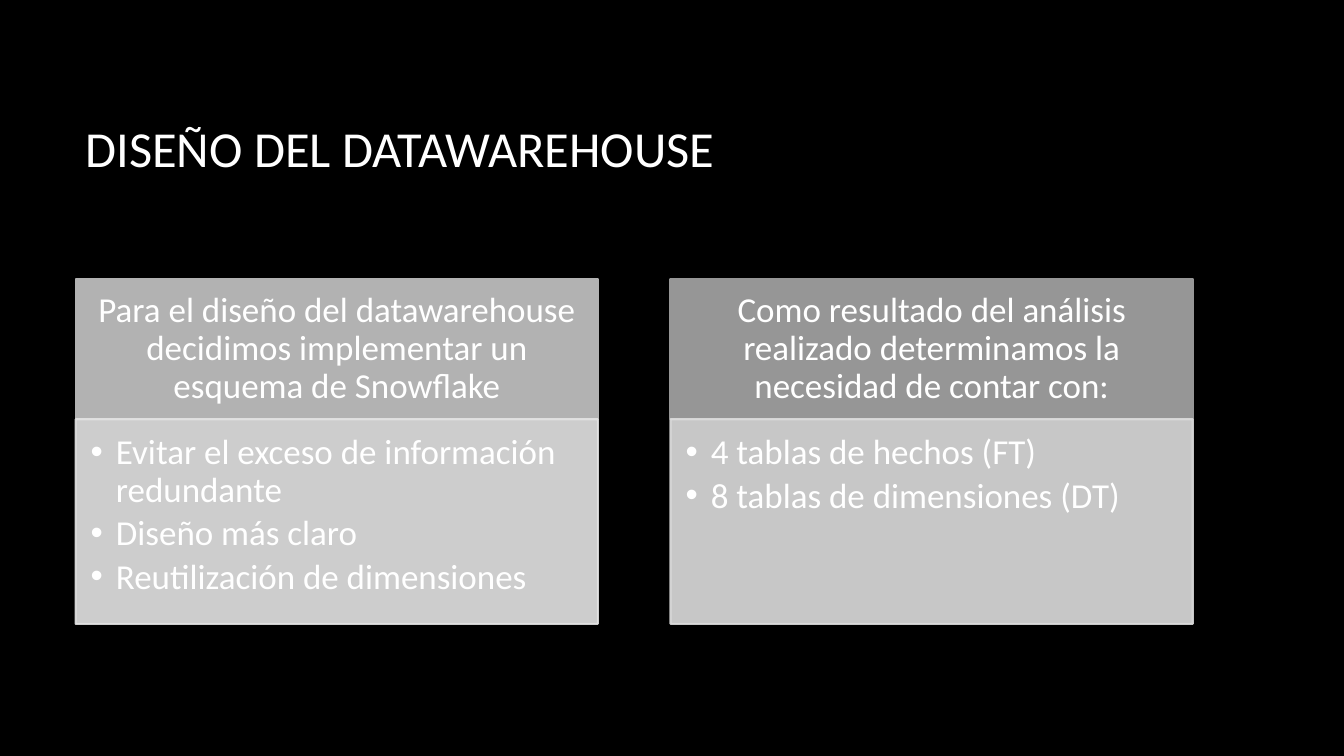
from dataclasses import dataclass

from lxml.etree import SubElement
from pptx import Presentation
from pptx.dml.color import RGBColor
from pptx.dml.fill import FillFormat
from pptx.enum.shapes import MSO_SHAPE as Preset
from pptx.enum.text import MSO_ANCHOR as Anchor, PP_ALIGN as Align
from pptx.oxml.ns import qn
from pptx.shapes.autoshape import Shape
from pptx.slide import Slide
from pptx.text.text import TextFrame, _Paragraph as Paragraph
from pptx.util import Emu, Pt

EMU_PER_PX = 9144  # 100 px to the inch
COLORS = {
    "background": "000000",
    "text": "FFFFFF",
    "design_header": "B2B2B2",
    "design_body": "E4E4E4",
    "result_header": "969696",
    "result_body": "DDDDDD",
}
FONT = "Calibri"
LEFT, COLUMN_STEP, COLUMN_WIDTH = 75, 590, 518
HEADER_TOP, HEADER_HEIGHT, BODY_HEIGHT = 277, 139, 203
BODY_OPACITY = 90
BULLET_INDENT = 25


@dataclass(frozen=True)
class Column:
    key: str
    heading: str
    points: tuple[str, ...]


COLUMNS = (
    Column(
        "design",
        "Para el diseño del datawarehouse decidimos implementar un esquema de Snowflake",
        (
            "Evitar el exceso de información redundante",
            "Diseño más claro",
            "Reutilización de dimensiones",
        ),
    ),
    Column(
        "result",
        "Como resultado del análisis realizado determinamos la necesidad de contar con:",
        ("4 tablas de hechos (FT)", "8 tablas de dimensiones (DT)"),
    ),
)


def px(length: int) -> Emu:
    return Emu(length * EMU_PER_PX)


def paint(fill: FillFormat, color: str, opacity: int) -> None:
    fill.solid()
    fill.fore_color.rgb = RGBColor.from_string(COLORS[color])
    if opacity < 100:
        for rgb in fill._xPr.iter(qn("a:srgbClr")):
            SubElement(rgb, qn("a:alpha"), val=str(opacity * 1000))


def set_font(paragraph: Paragraph, size: int) -> None:
    paragraph.font.name = FONT
    paragraph.font.size = Pt(size)
    paragraph.font.color.rgb = RGBColor.from_string(COLORS["text"])


def set_margins(frame: TextFrame, left: int, top: int, right: int, bottom: int) -> None:
    frame.margin_left, frame.margin_top = px(left), px(top)
    frame.margin_right, frame.margin_bottom = px(right), px(bottom)


def add_bullet(paragraph: Paragraph) -> None:
    properties = paragraph._p.get_or_add_pPr()
    properties.set("marL", str(px(BULLET_INDENT)))
    properties.set("indent", str(-px(BULLET_INDENT)))
    SubElement(properties, qn("a:buFont"), typeface="Arial")
    SubElement(properties, qn("a:buChar"), char="•")


def add_panel(slide: Slide, left: int, top: int, height: int, color: str, opacity: int = 100) -> Shape:
    panel = slide.shapes.add_shape(
        Preset.RECTANGLE, px(left), px(top), px(COLUMN_WIDTH), px(height)
    )
    panel.shadow.inherit = False
    paint(panel.fill, color, opacity)
    paint(panel.line.fill, color, opacity)
    panel.line.width = Pt(1.5)
    panel.text_frame.word_wrap = True
    return panel


def write_panel(frame: TextFrame, lines: tuple[str, ...], align: Align, gap: int, bulleted: bool) -> None:
    frame.text = "\n".join(lines)
    for paragraph in frame.paragraphs:
        if bulleted:
            add_bullet(paragraph)
        paragraph.alignment = align
        paragraph.line_spacing = 0.9
        paragraph.space_after = Pt(gap)
        set_font(paragraph, 25)


def add_column(slide: Slide, column: Column, left: int) -> None:
    header = add_panel(slide, left, HEADER_TOP, HEADER_HEIGHT, f"{column.key}_header").text_frame
    header.vertical_anchor = Anchor.MIDDLE
    set_margins(header, 19, 11, 19, 11)
    write_panel(header, (column.heading,), Align.CENTER, 0, bulleted=False)

    body = add_panel(
        slide, left, HEADER_TOP + HEADER_HEIGHT, BODY_HEIGHT, f"{column.key}_body", BODY_OPACITY
    ).text_frame
    body.vertical_anchor = Anchor.TOP
    set_margins(body, 15, 15, 19, 22)
    write_panel(body, column.points, Align.LEFT, 4, bulleted=True)


def add_title(slide: Slide, text: str) -> None:
    title = slide.shapes.add_textbox(px(LEFT), px(67), px(1108), px(159)).text_frame
    title.word_wrap = True
    title.vertical_anchor = Anchor.MIDDLE
    title.text = text
    set_font(title.paragraphs[0], 36)


def main() -> None:
    deck = Presentation()
    deck.slide_width, deck.slide_height = px(1333), px(750)
    slide = deck.slides.add_slide(deck.slide_layouts[6])
    paint(slide.background.fill, "background", 100)
    add_title(slide, "DISEÑO DEL DATAWAREHOUSE")
    for index, column in enumerate(COLUMNS):
        add_column(slide, column, LEFT + index * COLUMN_STEP)
    deck.save("out.pptx")


if __name__ == "__main__":
    main()
